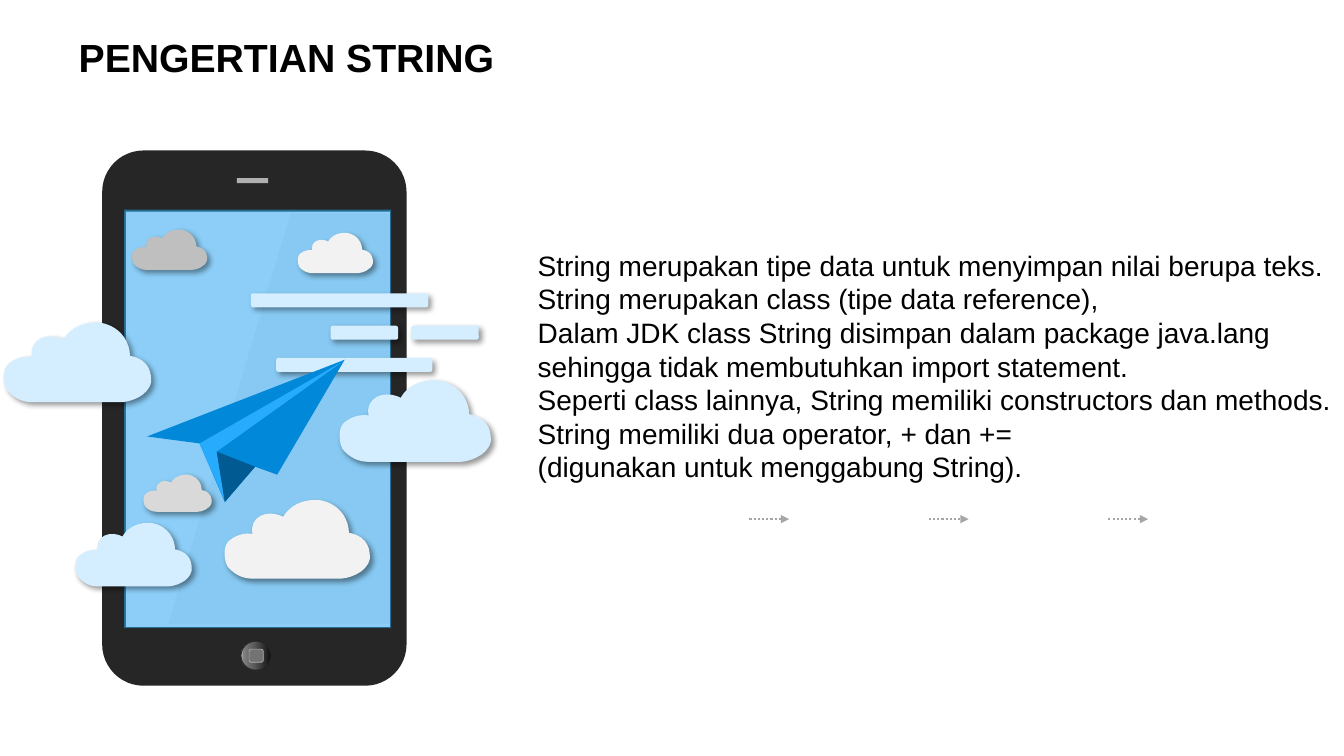
from dataclasses import dataclass

from lxml import etree
from pptx import Presentation
from pptx.dml.color import RGBColor
from pptx.enum.dml import MSO_LINE
from pptx.enum.shapes import MSO_CONNECTOR, MSO_SHAPE
from pptx.enum.text import MSO_ANCHOR, PP_ALIGN
from pptx.oxml.ns import qn
from pptx.util import Pt

RECT = MSO_SHAPE.RECTANGLE
ROUND = MSO_SHAPE.ROUNDED_RECTANGLE
OVAL = MSO_SHAPE.OVAL
STRAIGHT = MSO_CONNECTOR.STRAIGHT
DOTTED = MSO_LINE.ROUND_DOT
LEFT, TOP = PP_ALIGN.LEFT, MSO_ANCHOR.TOP

PALE_BLUE, PALE_GREY, BLUE = "D4EEFF", "F2F2F2", "27ACFD"
BLACK, DARK, SILVER, ARROW_GREY = "000000", "262626", "B0B0B0", "A6A6A6"


@dataclass
class Part:
    left: float
    top: float
    width: float
    height: float
    fill: str
    kind: int = RECT
    opacity: int = 100
    corner: float = 0.1667


@dataclass
class Cloud:
    left: float
    top: float
    width: float
    height: float
    fill: str = PALE_BLUE


@dataclass
class Facet:
    points: list[tuple[float, float]]
    fill: str
    opacity: int = 100


PHONE = Part(73, 107.5, 217.4, 382.3, DARK, ROUND, corner=0.136)
SPEAKER = Part(169.2, 127.2, 22.3, 3.6, SILVER)
HOME_BUTTON = Part(172.1, 457.9, 21.6, 20.9, "595959", OVAL)
HOME_ICON = Part(178, 463.7, 10.1, 9.4, "737373", ROUND)
SCREEN = Part(90, 151.2, 188.6, 296.6, PALE_GREY)
GLARE = Facet([(207.4, 152.6), (278.6, 152.6), (279.4, 445.7), (120.2, 445.7)], "999999", 10)
SKY = Part(88.6, 149.8, 190.8, 298.8, BLUE, opacity=50)
BUTTON_STOPS = [(0, "0F0F0F"), (56, "595959"), (91, "808080"), (100, "BFBFBF")]

CLOUDS = [
    Cloud(2.2, 230.4, 105.8, 56.9),
    Cloud(241.9, 271.6, 108.7, 58.3),
    Cloud(102.2, 339, 49, 26.6, "D9D9D9"),
    Cloud(94, 164, 54, 28.8, "BFBFBF"),
    Cloud(212.4, 166.3, 54, 28.8, PALE_GREY),
    Cloud(53.5, 373.5, 83.5, 45.4),
    Cloud(159.8, 357.1, 104.4, 56.2, PALE_GREY),
]
# Cubic Bezier outline on a 147 x 79 grid: two controls and an end per curve.
CLOUD_GRID = (147, 79)
CLOUD_START = (92, 0)
CLOUD_CURVES = [
    ((94, 0), (95, 0), (96, 0)),
    ((119, 4), (126, 22), (126, 33)),
    ((147, 37), (147, 52), (147, 59)),
    ((144, 74), (124, 79), (117, 79)),
    ((88, 79), (58, 79), (29, 79)),
    ((18, 79), (10, 74), (4, 67)),
    ((0, 60), (0, 49), (3, 44)),
    ((5, 40), (16, 32), (29, 34)),
    ((27, 26), (31, 19), (37, 16)),
    ((45, 12), (54, 14), (60, 17)),
    ((63, 11), (73, 0), (92, 0)),
]

WIND_HEIGHT = 10.1
WIND_STREAKS = [(179.3, 209.5, 126.7), (197.3, 255.6, 111.6), (236.2, 232.6, 48.2), (293.8, 232.6, 48.2)]
PAPER_PLANE = [
    Facet([(105.1, 311.8), (246.2, 257), (198, 339.1), (182.2, 333.4), (160.6, 358.6), (142.6, 316.8)], "0288D9"),
    Facet([(245.5, 257.8), (142.6, 316.8), (160.6, 357.8), (154.8, 322.6)], BLUE),
    Facet([(182.2, 333.4), (160.6, 358.6), (154.8, 322.6)], "015A91"),
]
ARROW_LEFT, ARROW_Y, ARROW_LENGTH, ARROW_PITCH, ARROW_COUNT = 535.3, 370.8, 28.4, 128.2, 3

DEFINITION = [
    "String merupakan tipe data untuk menyimpan nilai berupa teks.",
    "String merupakan class (tipe data reference),",
    "Dalam JDK class String disimpan dalam package java.lang sehingga tidak membutuhkan import statement.",
    "Seperti class lainnya, String memiliki constructors dan methods.",
    "String memiliki dua operator, + dan +=",
    "(digunakan untuk menggabung String).",
]


def color(value: str) -> RGBColor:
    return RGBColor.from_string(value)


def add_xml(parent, tag: str, **attributes):
    return etree.SubElement(parent, qn(tag), {key: str(value) for key, value in attributes.items()})


def place(shape, left: float, top: float, width: float, height: float) -> None:
    shape.left, shape.top, shape.width, shape.height = Pt(left), Pt(top), Pt(width), Pt(height)


def paint(shape, fill: str, opacity: int = 100) -> None:
    shape.shadow.inherit = False
    shape.line.fill.background()
    shape.fill.solid()
    shape.fill.fore_color.rgb = color(fill)
    if opacity < 100:
        rgb = shape._element.spPr.find(qn("a:solidFill")).find(qn("a:srgbClr"))
        add_xml(rgb, "a:alpha", val=opacity * 1000)


def outline(shape, value: str, width: float) -> None:
    shape.line.color.rgb = color(value)
    shape.line.width = Pt(width)


def cast_shadow(shape) -> None:
    effects = shape._element.spPr.find(qn("a:effectLst"))
    shadow = add_xml(effects, "a:outerShdw", blurRad=Pt(4), dist=Pt(3), dir=45 * 60000, algn="tl", rotWithShape=0)
    add_xml(add_xml(shadow, "a:srgbClr", val=BLACK), "a:alpha", val=40000)


def add_part(slide, part: Part):
    shape = slide.shapes.add_shape(part.kind, Pt(part.left), Pt(part.top), Pt(part.width), Pt(part.height))
    if part.kind == ROUND:
        shape.adjustments[0] = part.corner
    paint(shape, part.fill, part.opacity)
    return shape


def add_facet(slide, facet: Facet):
    start, *rest = [(Pt(x), Pt(y)) for x, y in facet.points]
    builder = slide.shapes.build_freeform(*start)
    builder.add_line_segments(rest, close=True)
    shape = builder.convert_to_shape()
    paint(shape, facet.fill, facet.opacity)
    return shape


def bend(shape) -> None:
    """Turn each three straight segments of a freeform into one cubic curve."""
    segments = list(shape._element.spPr.iter(qn("a:lnTo")))
    for first in range(0, len(segments), 3):
        curve = etree.Element(qn("a:cubicBezTo"))
        segments[first].addprevious(curve)
        for segment in segments[first:first + 3]:
            curve.append(segment[0])
            segment.getparent().remove(segment)


def add_cloud(slide, cloud: Cloud) -> None:
    x_scale, y_scale = cloud.width / CLOUD_GRID[0], cloud.height / CLOUD_GRID[1]
    grid_points = [CLOUD_START] + [point for curve in CLOUD_CURVES for point in curve]
    points = [(cloud.left + x * x_scale, cloud.top + y * y_scale) for x, y in grid_points]
    shape = add_facet(slide, Facet(points, cloud.fill))
    bend(shape)
    cast_shadow(shape)


def add_home_button(slide) -> None:
    button = add_part(slide, HOME_BUTTON)
    outline(button, DARK, 0)
    button.fill.gradient()
    button.fill.gradient_angle = 180
    stops = button._element.spPr.find(qn("a:gradFill")).find(qn("a:gsLst"))
    for stop in list(stops):
        stops.remove(stop)
    for position, value in BUTTON_STOPS:
        add_xml(add_xml(stops, "a:gs", pos=position * 1000), "a:srgbClr", val=value)
    outline(add_part(slide, HOME_ICON), SILVER, 0.5)


def add_arrow(slide, left: float) -> None:
    arrow = slide.shapes.add_connector(STRAIGHT, Pt(left), Pt(ARROW_Y), Pt(left + ARROW_LENGTH), Pt(ARROW_Y))
    outline(arrow, ARROW_GREY, 1.5)
    arrow.line.dash_style = DOTTED
    properties = arrow._element.spPr
    add_xml(properties.find(qn("a:ln")), "a:tailEnd", type="triangle")
    add_xml(properties, "a:effectLst")


def write(frame, lines: list[str], *, size: float, bold: bool = False, spacing: float | None = None) -> None:
    frame.word_wrap = True
    frame.vertical_anchor = TOP
    for index, line in enumerate(lines):
        paragraph = frame.add_paragraph() if index else frame.paragraphs[0]
        paragraph.alignment = LEFT
        if spacing:
            paragraph.line_spacing = Pt(spacing)
        run = paragraph.add_run()
        run.text = line
        run.font.name, run.font.size, run.font.bold = "Arial", Pt(size), bold
        run.font.color.rgb = color(BLACK)


def main() -> None:
    deck = Presentation()
    deck.slide_width, deck.slide_height = Pt(960), Pt(540)
    slide = deck.slides.add_slide(deck.slide_layouts[5])
    title = slide.shapes.title
    place(title, 49, 20.2, 911, 56.9)
    write(title.text_frame, ["PENGERTIAN STRING"], size=28, bold=True)

    add_part(slide, PHONE)
    add_part(slide, SPEAKER)
    add_home_button(slide)
    add_part(slide, SCREEN)
    add_facet(slide, GLARE)
    add_part(slide, SKY)
    for cloud in CLOUDS:
        add_cloud(slide, cloud)
    for left, top, width in WIND_STREAKS:
        cast_shadow(add_part(slide, Part(left, top, width, WIND_HEIGHT, PALE_BLUE, ROUND)))
    for facet in PAPER_PLANE:
        add_facet(slide, facet)
    for index in range(ARROW_COUNT):
        add_arrow(slide, ARROW_LEFT + index * ARROW_PITCH)

    definition = slide.shapes.add_textbox(Pt(377), Pt(173.8), Pt(583), Pt(177))
    write(definition.text_frame, DEFINITION, size=20, spacing=24)
    deck.save("out.pptx")


if __name__ == "__main__":
    main()
